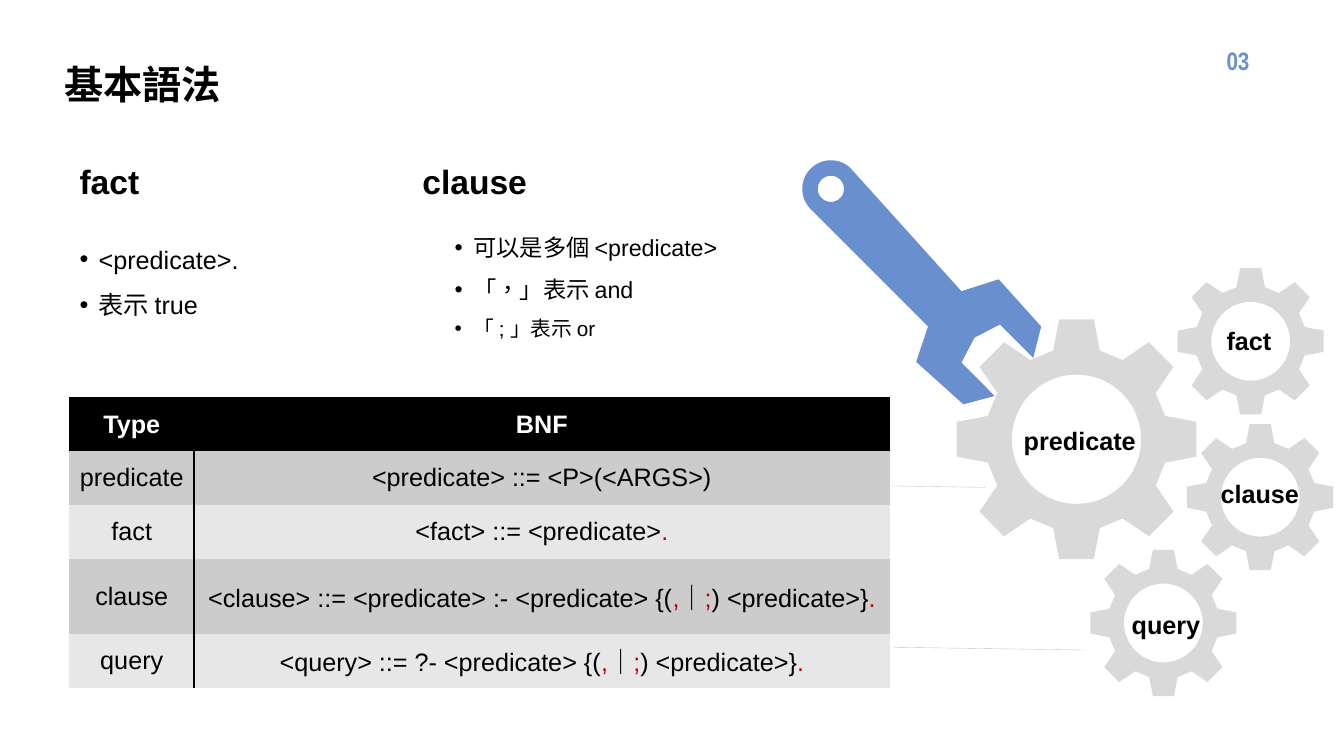
import math
from dataclasses import dataclass

from lxml import etree
from pptx import Presentation
from pptx import util as u
from pptx.dml.color import RGBColor
from pptx.enum import shapes, text
from pptx.oxml.ns import qn


@dataclass(frozen=True)
class Theme:
    font: str = "Arial"
    number_font: str = "Arial Narrow"
    ink: str = "000000"
    paper: str = "FFFFFF"
    accent: str = "698FCE"
    terminal: str = "C00000"
    gear: str = "D9D9D9"
    rule: str = "BFBFBF"
    bands: tuple = ("CCCCCC", "E7E7E7")
    title: float = 28
    heading: float = 24
    body: float = 18
    compact: float = 16.6
    small: float = 14.8


T = Theme()
NO_STYLE = "{2D5ABB26-0587-4C30-8999-92F81FD0307C}"


def add_text(p, content, size=T.body, color=T.ink, bold=False, font=T.font):
    r = p.add_run()
    r.text = content
    r.font.size, r.font.bold, r.font.name = u.Pt(size), bold, font
    r.font.color.rgb = RGBColor.from_string(color)
    r._r.get_or_add_rPr().set("lang", "zh-TW")


def arc(cx, cy, radius, start=0, end=360, steps=48):
    angles = [math.radians(start + (end - start) * i / steps) for i in range(steps + 1)]
    return [(cx + radius * math.cos(a), cy + radius * math.sin(a)) for a in angles]


class SlideBuilder:
    def __init__(self, s, theme):
        self.s, self.theme = s, theme

    def place(self, sp, box, anchor):
        sp.left, sp.top, sp.width, sp.height = map(u.Cm, box)
        tf = sp.text_frame
        tf.word_wrap = True
        tf.auto_size = text.MSO_AUTO_SIZE.NONE
        tf.vertical_anchor = anchor
        return tf

    def heading(self, idx, box, content, size):
        tf = self.place(self.s.placeholders[idx], box, text.MSO_ANCHOR.BOTTOM)
        p = tf.paragraphs[0]
        p.alignment = text.PP_ALIGN.LEFT
        p.line_spacing, p.space_before = 0.9, u.Pt(0)
        add_text(p, content, size=size, bold=True)

    def bullets(self, idx, box, items):
        tf = self.place(self.s.placeholders[idx], box, text.MSO_ANCHOR.TOP)
        for i, (content, size) in enumerate(items):
            p = tf.add_paragraph() if i else tf.paragraphs[0]
            p.line_spacing, p.space_before = 1.5, u.Pt(0)
            pPr = p._p.get_or_add_pPr()
            pPr.set("marL", str(u.Cm(0.48)))
            pPr.set("indent", str(-u.Cm(0.48)))
            etree.SubElement(pPr, qn("a:buChar")).set("char", "•")
            add_text(p, content, size=size)

    def label(self, box, content, anchor=text.MSO_ANCHOR.BOTTOM, **style):
        sp = self.s.shapes.add_textbox(0, 0, 0, 0)
        tf = self.place(sp, box, anchor)
        add_text(tf.paragraphs[0], content, bold=True, **style)

    def outline(self, color, *contours):
        paths = [[(u.Cm(x), u.Cm(y)) for x, y in c] for c in contours]
        fb = self.s.shapes.build_freeform(*paths[0][0], scale=1.0)
        fb.add_line_segments(paths[0][1:], close=True)
        for points in paths[1:]:
            fb.move_to(*points[0])
            fb.add_line_segments(points[1:], close=True)
        sp = fb.convert_to_shape()
        sp.shadow.inherit = False
        sp.fill.solid()
        sp.fill.fore_color.rgb = RGBColor.from_string(color)
        sp.line.fill.background()

    def gear(self, cx, cy, radius):
        tooth = [(-0.195, -0.74), (-0.145, -1), (0.145, -1), (0.195, -0.74)]
        rim = []
        for k in range(8):
            c, d = math.cos(k * math.pi / 4), math.sin(k * math.pi / 4)
            rim += [(cx + radius * (x * c - y * d), cy + radius * (x * d + y * c))
                    for x, y in tooth]
        self.outline(self.theme.gear, rim, arc(cx, cy, 0.54 * radius))

    def wrench(self):
        jaw = [(24.23, 7.34), (25.17, 7.04), (26.24, 8.23), (26.04, 9.02),
               (25.2, 8.18), (24.56, 8.51), (24.23, 9.14), (25.07, 9.98),
               (24.28, 10.19), (23.09, 9.12), (23.39, 8.23)]
        handle = arc(20.94, 4.76, 0.72, 139, 313)
        self.outline(self.theme.accent, handle + jaw, arc(20.94, 4.76, 0.33))

    def line(self, x1, y1, x2, y2):
        cn = self.s.shapes.add_connector(
            shapes.MSO_CONNECTOR.STRAIGHT, *map(u.Cm, (x1, y1, x2, y2)))
        cn.line.color.rgb = RGBColor.from_string(self.theme.rule)
        cn.line.width = u.Pt(0.25)
        etree.SubElement(cn._element.spPr, qn("a:effectLst"))

    def border(self, cell, side):
        ln = etree.Element(qn("a:" + side), w=str(u.Pt(1)))
        fill = etree.SubElement(ln, qn("a:solidFill"))
        etree.SubElement(fill, qn("a:srgbClr"), val=self.theme.ink)
        cell._tc.get_or_add_tcPr().insert(0, ln)

    def table(self, left, top, widths, row_height, rows):
        frame = self.s.shapes.add_table(
            len(rows), len(widths), u.Cm(left), u.Cm(top),
            u.Cm(sum(widths)), u.Cm(row_height * len(rows)))
        tbl = frame.table
        tbl._tbl.tblPr.find(qn("a:tableStyleId")).text = NO_STYLE
        for col, width in zip(tbl.columns, widths):
            col.width = u.Cm(width)
        for i, row in enumerate(rows):
            head = i == 0
            band = self.theme.ink if head else self.theme.bands[(i - 1) % 2]
            for j, runs in enumerate(row):
                cell = tbl.cell(i, j)
                cell.vertical_anchor = text.MSO_ANCHOR.MIDDLE
                cell.fill.solid()
                cell.fill.fore_color.rgb = RGBColor.from_string(band)
                self.border(cell, "lnL" if j else "lnR")
                p = cell.text_frame.paragraphs[0]
                p.alignment = text.PP_ALIGN.CENTER
                for k, content in enumerate(runs):
                    color = self.theme.terminal if k % 2 else self.theme.ink
                    add_text(p, content, bold=head,
                             color=self.theme.paper if head else color)


def main():
    prs = Presentation()
    prs.slide_width, prs.slide_height = u.Cm(33.87), u.Cm(19.05)
    b = SlideBuilder(prs.slides.add_slide(prs.slide_layouts[4]), T)

    b.heading(0, (1.37, 0, 9.98, 2.84), "基本語法", T.title)
    b.heading(1, (1.75, 3.99, 3.4, 1.22), "fact", T.heading)
    b.bullets(2, (1.75, 5.64, 7.67, 2.72),
              [("<predicate>.", T.body), ("表示 true", T.body)])
    b.heading(3, (10.39, 3.99, 3.4, 1.22), "clause", T.heading)
    b.bullets(4, (11.2, 5.41, 7.67, 4.27),
              [("可以是多個 <predicate>", T.compact),
               ("「，」表示 and", T.compact),
               ("「 ; 」表示 or", T.small)])

    b.line(22.1, 12.24, 24.82, 12.28)
    b.line(22.53, 16.31, 27.38, 16.38)
    for gear in [(29.32, 15.7, 1.84), (31.52, 8.6, 1.84),
                 (27.13, 11.07, 3.02), (31.76, 12.53, 1.84)]:
        b.gear(*gear)
    b.wrench()

    for content, box in {
        "fact": (30.66, 7.87, 1.9, 1.22),
        "clause": (30.51, 11.35, 3.05, 1.6),
        "query": (28.27, 15.01, 2.4, 1.22),
        "predicate": (25.55, 10.01, 3.86, 1.6),
    }.items():
        b.label(box, content)
    b.label((30.66, 1.02, 2.46, 3.28), "03", anchor=text.MSO_ANCHOR.TOP,
            color=T.accent, font=T.number_font)

    repeat = [",", "｜", ";", ") <predicate>}", "."]
    b.table(1.75, 10.01, (3.14, 17.53), 1.36, [
        (["Type"], ["BNF"]),
        (["predicate"], ["<predicate> ::= <P>(<ARGS>)"]),
        (["fact"], ["<fact> ::= <predicate>", "."]),
        (["clause"], ["<clause> ::= <predicate> :- <predicate> {("] + repeat),
        (["query"], ["<query> ::= ?- <predicate> {("] + repeat),
    ])
    prs.save("out.pptx")


if __name__ == "__main__":
    main()
